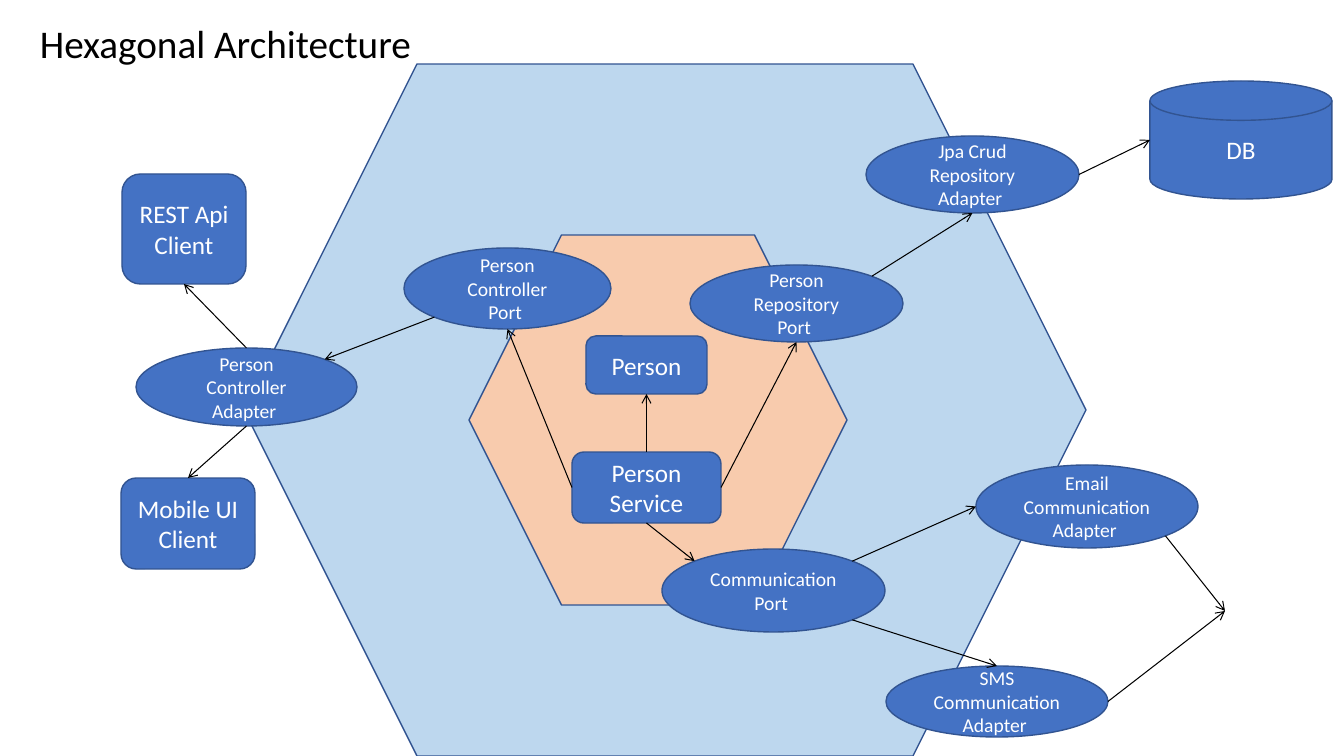
from collections import namedtuple
from math import sqrt

from lxml.etree import SubElement
from pptx import Presentation
from pptx.dml.color import RGBColor
from pptx.enum.shapes import MSO_CONNECTOR, MSO_SHAPE
from pptx.enum.text import MSO_ANCHOR, PP_ALIGN
from pptx.oxml.ns import qn
from pptx.util import Pt

SCALE = 914400 / 100.8
BLUE = RGBColor(0x44, 0x72, 0xC4)
EDGE = RGBColor(0x32, 0x54, 0x91)
SKY = RGBColor(0xBD, 0xD7, 0xEE)
PEACH = RGBColor(0xF8, 0xCB, 0xAD)
WHITE = RGBColor(0xFF, 0xFF, 0xFF)
BLACK = RGBColor(0x00, 0x00, 0x00)
FONT = "Calibri"

Box = namedtuple("Box", "left top width height")

# Connection sites: fractions of a shape's width and height
NEAR = (1 - sqrt(0.5)) / 2
FAR = 1 - NEAR
SITES = {
    "top": (0.5, 0), "top left": (NEAR, NEAR), "left": (0, 0.5),
    "bottom left": (NEAR, FAR), "bottom": (0.5, 1),
    "bottom right": (FAR, FAR), "right": (1, 0.5), "top right": (FAR, NEAR),
}
ROUND_SITES = list(SITES)
SQUARE_SITES = ["top", "left", "bottom", "right"]
DISK_SITES = ["lid", "top", "left", "bottom", "right"]


def emu(pixels):
    return round(pixels * SCALE)


def place(box, left, top, width, height):
    return [emu(n) for n in (box.left + left, box.top + top, width, height)]


def write(frame, lines, size, color, align):
    frame.word_wrap = True
    for number, line in enumerate(lines):
        para = frame.paragraphs[0] if number == 0 else frame.add_paragraph()
        para.alignment = align
        span = para.add_run()
        span.text = line
        span.font.name = FONT
        span.font.size = Pt(size)
        span.font.color.rgb = color


def add_node(page, kind, area, fill, lines=(), size=18):
    node = page.shapes.add_shape(kind, *area)
    node.shadow.inherit = False
    node.fill.solid()
    node.fill.fore_color.rgb = fill
    node.line.color.rgb = EDGE
    node.line.width = Pt(1)
    node.text_frame.vertical_anchor = MSO_ANCHOR.MIDDLE
    write(node.text_frame, lines, size, WHITE, PP_ALIGN.CENTER)
    return node


def add_oval(page, area, lines):
    return add_node(page, MSO_SHAPE.OVAL, area, BLUE, lines, 14)


def site_point(node, site):
    across, down = SITES[site]
    return (round(node.left + across * node.width),
            round(node.top + down * node.height))


def site_index(node, site):
    kinds = {MSO_SHAPE.OVAL: ROUND_SITES,
             MSO_SHAPE.FLOWCHART_MAGNETIC_DISK: DISK_SITES}
    return kinds.get(node.auto_shape_type, SQUARE_SITES).index(site)


def add_arrow(page, source, source_site, target, target_site=None):
    """Join two sites; without a target site, target is a point."""
    end = site_point(target, target_site) if target_site else target
    arrow = page.shapes.add_connector(
        MSO_CONNECTOR.STRAIGHT, *site_point(source, source_site), *end)
    arrow.line.color.rgb = BLACK
    arrow.line.width = Pt(0.75)
    SubElement(arrow.line._get_or_add_ln(), qn("a:tailEnd"), type="arrow")
    SubElement(arrow._element.spPr, qn("a:effectLst"))
    # Glue the ends to their shapes
    ends = [("a:stCxn", source, source_site)]
    if target_site:
        ends.append(("a:endCxn", target, target_site))
    holder = arrow._element.nvCxnSpPr.cNvCxnSpPr
    for tag, node, site in ends:
        SubElement(holder, qn(tag), id=str(node.shape_id),
                   idx=str(site_index(node, site)))


def add_title(page, box):
    title = page.shapes.add_textbox(*place(box, 0, 0, box.width, box.height))
    write(title.text_frame, ["Hexagonal Architecture"], 28, BLACK, PP_ALIGN.LEFT)


def add_hexagon(page, box, fill):
    add_node(page, MSO_SHAPE.HEXAGON,
             place(box, 0, 0, box.width, box.height), fill)


def add_domain(page, box):
    add_hexagon(page, box, PEACH)
    person = add_node(page, MSO_SHAPE.ROUNDED_RECTANGLE,
                      place(box, 117, 101, 121, 58), BLUE, ["Person"])
    service = add_node(page, MSO_SHAPE.ROUNDED_RECTANGLE,
                       place(box, 103, 217, 149, 71), BLUE,
                       ["Person", "Service"])
    # Vertical arrow, straight above the middle of Person
    start = service.top
    add_arrow(page, service, "top", (site_point(service, "top")[0],
              person.top + person.height)) if start else None
    return service


def add_controller_side(page, box, service):
    port = add_oval(page, place(box, 283, 74, 207, 81),
                    ["Person Controller", "Port "])
    adapter = add_oval(page, place(box, 15, 174, 221, 78),
                       ["Person Controller", "Adapter "])
    rest, mobile = [
        add_node(page, MSO_SHAPE.FLOWCHART_ALTERNATE_PROCESS,
                 place(box, *area), BLUE, [label])
        for area, label in (((1, 0, 124, 110), "REST Api Client"),
                            ((0, 304, 134, 91), "Mobile UI Client"))]
    add_arrow(page, service, "left", port, "bottom")
    add_arrow(page, port, "bottom left", adapter, "top right")
    add_arrow(page, adapter, "top", rest, "bottom")
    add_arrow(page, adapter, "bottom", mobile, "top")


def add_repository_side(page, box, service):
    port = add_oval(page, place(box, 0, 184, 213, 77),
                    ["Person Repository", "Port "])
    adapter = add_oval(page, place(box, 176, 55, 213, 77),
                       ["Jpa Crud Repository", "Adapter "])
    database = add_node(page, MSO_SHAPE.FLOWCHART_MAGNETIC_DISK,
                        place(box, 460, 0, 182, 118), BLUE, ["DB"])
    add_arrow(page, service, "right", port, "bottom")
    add_arrow(page, port, "top right", adapter, "bottom")
    add_arrow(page, adapter, "right", database, "left")


def add_communication_side(page, box, service):
    port = add_oval(page, place(box, 0, 84, 223, 83),
                    ["Communication", "Port "])
    email = add_oval(page, place(box, 314, 0, 222, 83),
                     ["Email Communication", "Adapter "])
    sms = add_oval(page, place(box, 224, 201, 222, 71),
                   ["SMS Communication", "Adapter "])
    outlet = (emu(box.left + box.width), emu(box.top + 146))
    add_arrow(page, service, "bottom", port, "top left")
    add_arrow(page, port, "top right", email, "left")
    add_arrow(page, port, "bottom right", sms, "top")
    add_arrow(page, email, "bottom right", outlet)
    add_arrow(page, sms, "right", outlet)


def add_architecture(page):
    add_hexagon(page, Box(244, 64, 842, 692), SKY)
    service = add_domain(page, Box(469, 235, 378, 370))
    add_controller_side(page, Box(121, 174, 490, 395), service)
    add_repository_side(page, Box(690, 81, 642, 261), service)
    add_communication_side(page, Box(662, 465, 563, 272), service)
    add_title(page, Box(30, 14, 616, 57))


deck = Presentation()
deck.slide_width, deck.slide_height = emu(1344), emu(756)
add_architecture(deck.slides.add_slide(deck.slide_layouts[6]))
deck.save("out.pptx")
